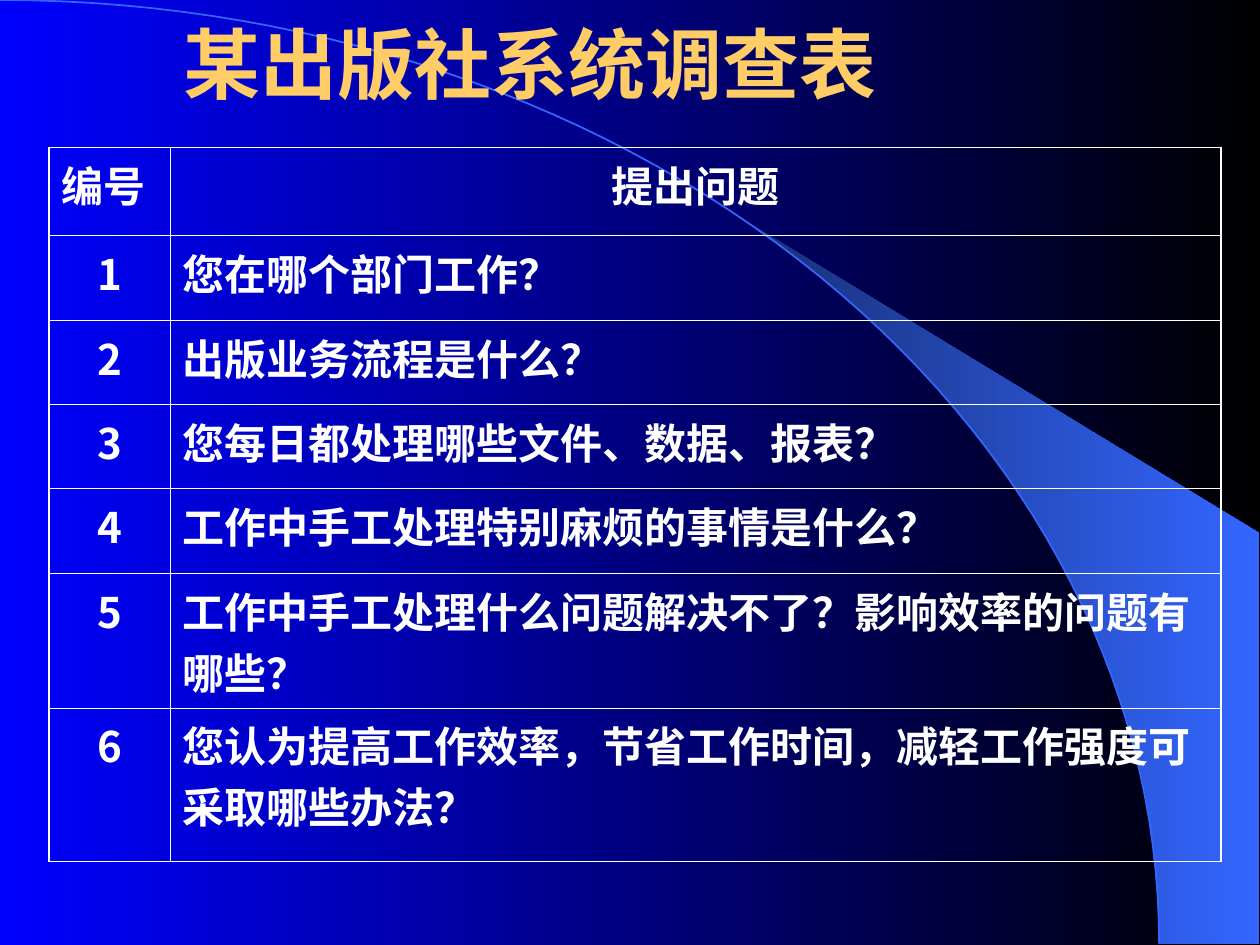
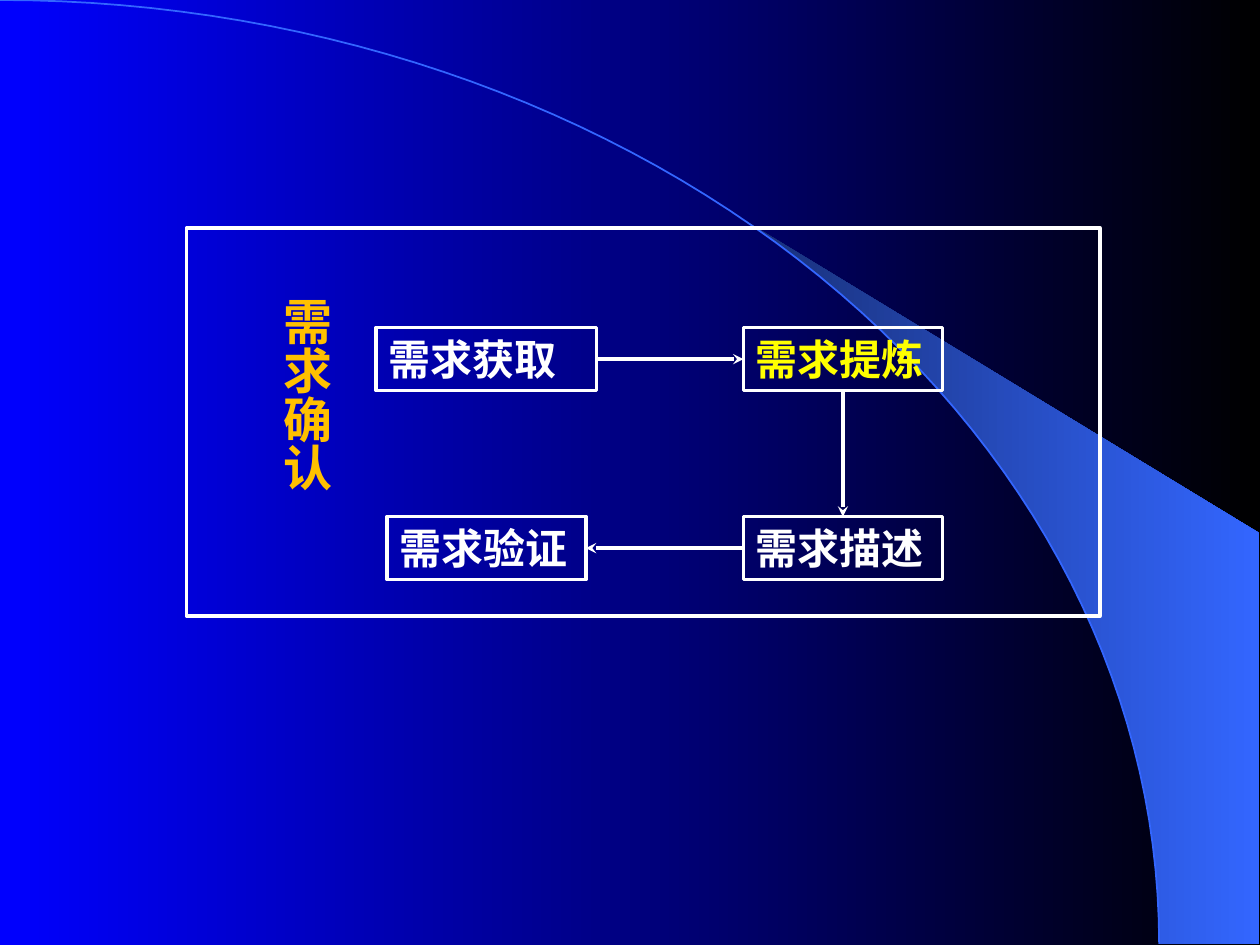
import dataclasses
import math

import lxml.etree
import pptx
import pptx.dml.color
import pptx.enum.dml
import pptx.enum.shapes
import pptx.enum.text
import pptx.oxml
import pptx.oxml.ns
import pptx.util

# The slide is a grid of 100 columns by 75 rows of equal size
COLUMNS, ROWS = 100, 75
CELL = pptx.util.Inches(0.1)


@dataclasses.dataclass(frozen=True)
class Theme:
    white: str = "FFFFFF"
    title: str = "FFCC66"
    label: str = "FFC000"
    highlight: str = "FFFF00"
    arc: str = "3366FF"
    fan: tuple = ("182F76", "3366FF")
    background: tuple = ("0000FF", "000000")
    sans: str = "Noto Sans CJK SC"
    serif: str = "Times New Roman"
    title_size: float = 44
    label_size: float = 28
    body_size: float = 24
    arc_line: float = 1
    diagram_line: float = 2
    outer_border: float = 1.08
    inner_border: float = 0.45


THEME = Theme()


@dataclasses.dataclass(frozen=True)
class Box:
    """A rectangle in grid columns and rows."""
    left: float
    top: float
    width: float
    height: float

    def inside(self, left, top, width, height):
        return Box(self.left + left, self.top + top, width, height)

    def centred(self, column, row, width, height):
        return self.inside(column - width / 2, row - height / 2, width, height)

    def place(self):
        return [grid(value) for value in (self.left, self.top, self.width, self.height)]


SLIDE = Box(0, 0, COLUMNS, ROWS)


# Shared helpers
def grid(value):
    return round(value * CELL)


def rgb(colour):
    return pptx.dml.color.RGBColor.from_string(colour)


def set_gradient(fill, colours):
    fill.gradient()
    fill.gradient_angle = 0
    for stop, colour, position in zip(fill.gradient_stops, colours, (0, 1)):
        stop.color.rgb = rgb(colour)
        stop.position = position


def set_line(line, colour, width):
    line.color.rgb = rgb(colour)
    line.width = pptx.util.Pt(width)


def write(text_frame, text, size, colour, font, centred=False):
    text_frame.text = text
    paragraph = text_frame.paragraphs[0]
    if centred:
        paragraph.alignment = pptx.enum.text.PP_ALIGN.CENTER
    else:
        paragraph.alignment = pptx.enum.text.PP_ALIGN.LEFT
    run = paragraph.runs[0]
    run.font.size = pptx.util.Pt(size)
    run.font.bold = True
    run.font.color.rgb = rgb(colour)
    run.font.name = font
    if font == THEME.sans:
        properties = run.font._element if hasattr(run.font, "_element") else run._r.get_or_add_rPr()
        east_asian = lxml.etree.SubElement(properties, pptx.oxml.ns.qn("a:ea"))
        east_asian.set("typeface", font)


def add_outline(slide, points, closed):
    placed = [(grid(x), grid(y)) for x, y in points]
    builder = slide.shapes.build_freeform(*placed[0])
    builder.add_line_segments(placed[1:], close=closed)
    shape = builder.convert_to_shape()
    shape.shadow.inherit = False
    return shape


def add_frame(slide, box):
    shape = slide.shapes.add_shape(pptx.enum.shapes.MSO_SHAPE.RECTANGLE, *box.place())
    shape.shadow.inherit = False
    shape.fill.background()
    set_line(shape.line, THEME.white, THEME.diagram_line)
    return shape


# Backdrop on the master: gradient, arc and fan of light
def add_backdrop(presentation, slide, box):
    master = presentation.slide_master
    set_gradient(master.background.fill, THEME.background)
    radius_x, radius_y = 92, 74.9

    def arc_points(start, stop, steps):
        angles = [math.radians(start + (stop - start) * step / steps)
                  for step in range(steps + 1)]
        return [(box.left + radius_x * math.sin(angle),
                 box.top + radius_y * (1 - math.cos(angle))) for angle in angles]

    right, bottom = box.left + 99.9, box.top + radius_y
    fan_edge = [(right, bottom), (right, box.top + 42.3)]
    fan = add_outline(slide, arc_points(39.8, 90, 24) + fan_edge, closed=True)
    set_gradient(fan.fill, THEME.fan)
    fan.line.fill.background()
    arc = add_outline(slide, arc_points(0, 90, 60), closed=False)
    arc.fill.background()
    set_line(arc.line, THEME.arc, THEME.arc_line)
    for position, shape in enumerate((fan, arc), start=2):
        master.shapes.element.insert(position, shape.element)


# Title
def place_title(slide, box, text):
    title = slide.shapes.title
    title.left, title.top, title.width, title.height = box.place()
    frame = title.text_frame
    frame.auto_size = pptx.enum.text.MSO_AUTO_SIZE.NONE
    frame.vertical_anchor = pptx.enum.text.MSO_ANCHOR.MIDDLE
    write(frame, text, THEME.title_size, THEME.title, THEME.sans, centred=True)


# Questionnaire table
def set_borders(cell, outer_sides):
    properties = cell._tc.get_or_add_tcPr()
    for side in "LRTB":
        width = THEME.outer_border if side in outer_sides else THEME.inner_border
        properties.append(pptx.oxml.parse_xml(
            f'<a:ln{side} {pptx.oxml.ns.nsdecls("a")} w="{pptx.util.Pt(width)}">'
            f'<a:solidFill><a:srgbClr val="{THEME.white}"/></a:solidFill></a:ln{side}>'))


def add_questionnaire(slide, box, headings, questions):
    rows = [headings] + [(str(number), text) for number, text in enumerate(questions, 1)]
    table = slide.shapes.add_table(len(rows), len(headings), *box.place()).table
    table.first_row = table.horz_banding = False
    number_width = 9.6
    for column, width in zip(table.columns, (number_width, box.width - number_width)):
        column.width = grid(width)
    for row, height in zip(table.rows, [7] + [6.7] * 4 + [10.7, 12.2]):
        row.height = grid(height)
    for row_index, texts in enumerate(rows):
        for column_index, text in enumerate(texts):
            cell = table.cell(row_index, column_index)
            outer_sides = "LR"[column_index]
            if row_index == 0:
                outer_sides += "T"
            if row_index == len(rows) - 1:
                outer_sides += "B"
            set_borders(cell, outer_sides)
            cell.fill.background()
            # Only the numbers and the question heading are centred
            centred = (row_index == 0) != (column_index == 0)
            write(cell.text_frame, text, THEME.body_size, THEME.white, THEME.sans, centred)


# Requirements flow
def add_step(slide, box, text, colour):
    step = add_frame(slide, box)
    frame = step.text_frame
    frame.word_wrap = True
    frame.vertical_anchor = pptx.enum.text.MSO_ANCHOR.MIDDLE
    write(frame, text, THEME.body_size, colour, THEME.serif)
    return step


def add_arrow(slide, start, start_site, end, end_site):
    arrow = slide.shapes.add_connector(pptx.enum.shapes.MSO_CONNECTOR.STRAIGHT, 0, 0, 0, 0)
    arrow.begin_connect(start, start_site)
    arrow.end_connect(end, end_site)
    set_line(arrow.line, THEME.white, THEME.diagram_line)
    head = lxml.etree.SubElement(arrow.line._get_or_add_ln(), pptx.oxml.ns.qn("a:tailEnd"))
    head.set("type", "stealth")
    lxml.etree.SubElement(arrow._element.spPr, pptx.oxml.ns.qn("a:effectLst"))


def add_vertical_label(slide, box, text):
    frame = slide.shapes.add_textbox(*box.place()).text_frame
    frame.word_wrap = True
    frame.vertical_anchor = pptx.enum.text.MSO_ANCHOR.MIDDLE
    frame._txBody.bodyPr.set("vert", "eaVert")
    write(frame, text, THEME.label_size, THEME.label, THEME.serif, centred=True)


def add_requirements_flow(slide, box):
    add_frame(slide, box)
    add_vertical_label(slide, box.inside(6.2, 4.5, 6.6, 25), "需求确认")
    left, right, upper, lower = 23.8, 52.1, 10.4, 25.4
    acquire, refine, describe, verify = [
        add_step(slide, box.centred(column, row, width, 5), text, colour)
        for text, column, row, width, colour in (
            ("需求获取", left, upper, 17.5, THEME.white),
            ("需求提炼", right, upper, 15.8, THEME.highlight),
            ("需求描述", right, lower, 15.8, THEME.white),
            ("需求验证", left, lower, 15.8, THEME.white))]
    # Connection sites of a rectangle run anticlockwise from the top
    top_side, left_side, bottom_side, right_side = range(4)
    add_arrow(slide, acquire, right_side, refine, left_side)
    add_arrow(slide, refine, bottom_side, describe, top_side)
    add_arrow(slide, describe, left_side, verify, right_side)


def main():
    presentation = pptx.Presentation()
    presentation.slide_width = COLUMNS * CELL
    presentation.slide_height = ROWS * CELL
    title_only, blank = presentation.slide_layouts[5], presentation.slide_layouts[6]

    survey = presentation.slides.add_slide(title_only)
    add_backdrop(presentation, survey, SLIDE)
    place_title(survey, SLIDE.inside(0, 0.8, 84.2, 8.3), "某出版社系统调查表")
    add_questionnaire(survey, SLIDE.inside(3.9, 11.7, 93, 56.7), ("编号", "提出问题"), (
        "您在哪个部门工作？",
        "出版业务流程是什么？",
        "您每日都处理哪些文件、数据、报表？",
        "工作中手工处理特别麻烦的事情是什么？",
        "工作中手工处理什么问题解决不了？影响效率的问题有哪些？",
        "您认为提高工作效率，节省工作时间，减轻工作强度可采取哪些办法？"))

    flow = presentation.slides.add_slide(blank)
    add_requirements_flow(flow, SLIDE.inside(14.8, 18.1, 72.5, 30.8))
    presentation.save("out.pptx")


if __name__ == "__main__":
    main()
